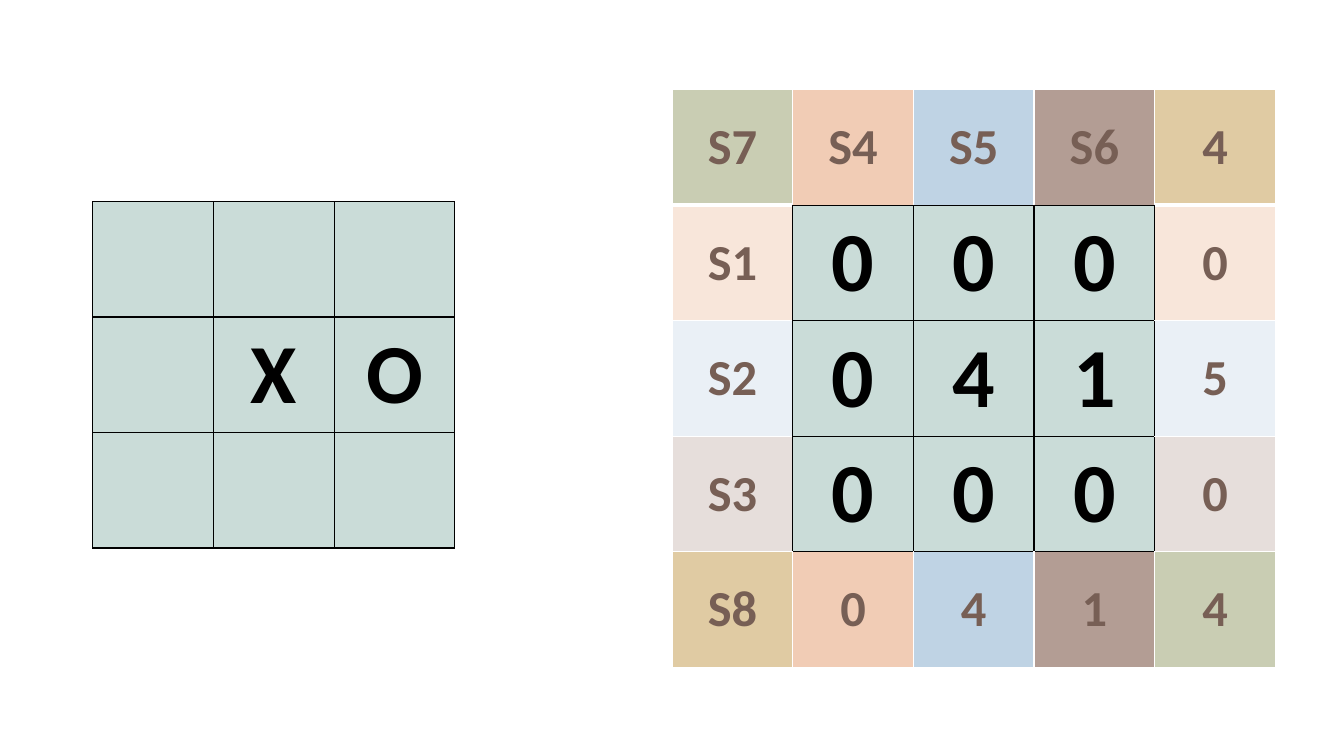
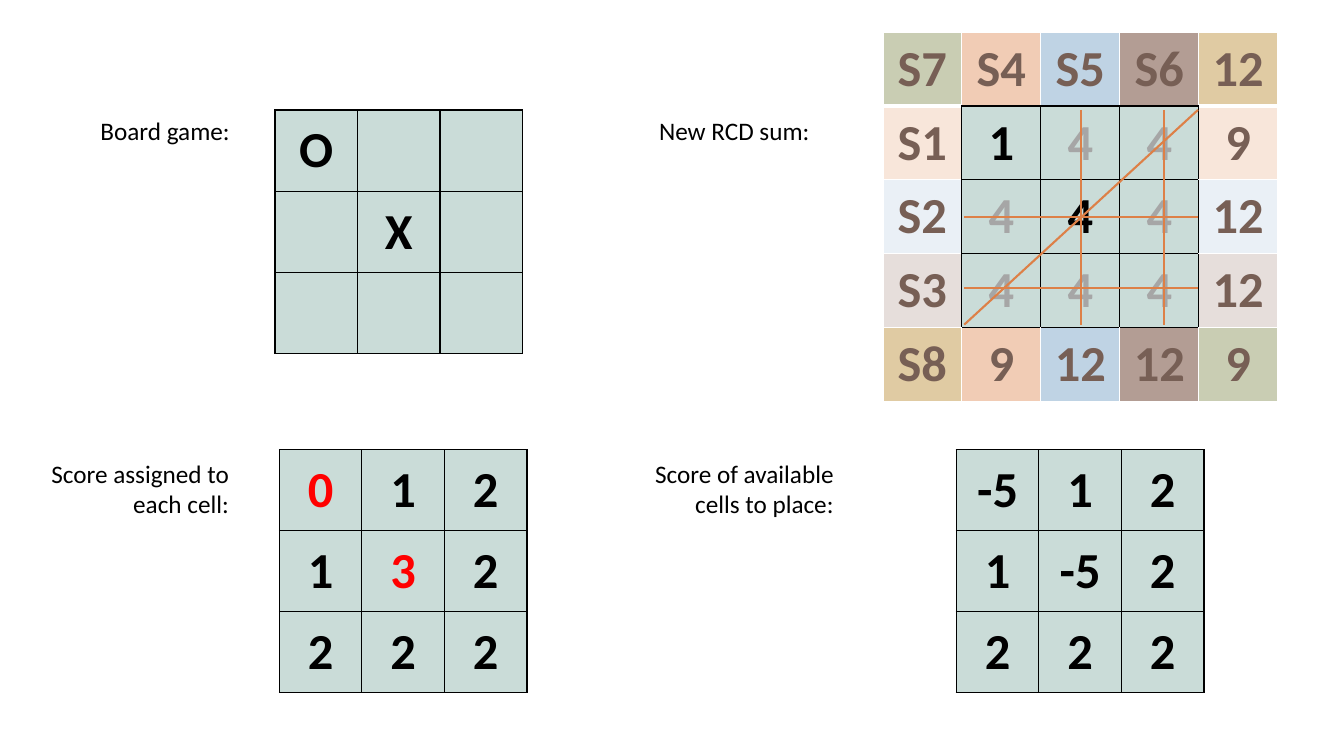
from dataclasses import dataclass
from typing import Optional

from lxml import etree
from pptx import Presentation
from pptx.dml.color import RGBColor
from pptx.enum import shapes, text
from pptx.oxml import ns
from pptx.slide import Slide
from pptx.util import Cm, Pt


# Theme: colours, type sizes and line widths
@dataclass(frozen=True)
class Theme:
    font: str = "Calibri"
    big: int = 60
    mid: int = 36
    small: int = 18
    black: str = "000000"
    white: str = "FFFFFF"
    red: str = "FF0000"
    grey: str = "A6A6A6"
    brown: str = "775F55"
    strike: str = "DD8047"
    mint: str = "CADCD8"
    top: tuple[str, ...] = ("C9CDB3", "F1CCB5", "BFD3E4", "B39D94", "E0CBA3")
    side: tuple[str, ...] = ("F8E6DA", "EAF0F6", "E6DEDB")
    thin: float = 1
    thick: float = 3
    stroke: float = 1.5


THEME = Theme()


# Descriptions of repeated elements, lengths in centimetres
@dataclass(frozen=True)
class Grid:
    left: float
    top: float
    wide: float
    high: float
    rows: tuple[str, ...]
    size: int = THEME.mid
    ring: bool = False
    tint: str = THEME.black
    spots: tuple[tuple[int, int], ...] = ()


@dataclass(frozen=True)
class Label:
    left: float
    top: float
    wide: float
    high: float
    words: str


@dataclass(frozen=True)
class Strike:
    x1: float
    y1: float
    x2: float
    y2: float


SIDES = {"L": (0, -1), "R": (0, 1), "T": (-1, 0), "B": (1, 0)}


def in_core(row: int, col: int) -> bool:
    return 1 <= row <= 3 and 1 <= col <= 3


def get_fill(row: int, col: int) -> str:
    """The last row mirrors the corner colours of the first."""
    if row == 0:
        return THEME.top[col]
    if row == 4:
        return THEME.top[4 - col if col in (0, 4) else col]
    return THEME.side[row - 1]


def get_edge(row: int, col: int, side: str) -> tuple[str, float]:
    """Ring cells have white edges, but black ones against the core."""
    down, over = SIDES[side]
    if in_core(row + down, col + over):
        return THEME.black, THEME.thin
    heavy = row == 0 and side == "B"
    return THEME.white, THEME.thick if heavy else THEME.thin


def add_edge(cell, side: str, color: str, width: float) -> None:
    line = etree.SubElement(cell._tc.get_or_add_tcPr(), ns.qn(f"a:ln{side}"))
    line.set("w", str(Pt(width)))
    fill = etree.SubElement(line, ns.qn("a:solidFill"))
    etree.SubElement(fill, ns.qn("a:srgbClr")).set("val", color)


def style(part, size: int, color: str, bold: bool, align) -> None:
    for para in part.text_frame.paragraphs:
        para.alignment = align
        for run in para.runs:
            run.font.name = THEME.font
            run.font.size = Pt(size)
            run.font.bold = bold
            run.font.color.rgb = RGBColor.from_string(color)


def add_grid(slide: Slide, grid: Grid) -> None:
    rows = [[word.strip() for word in row.split("|")] for row in grid.rows]
    count = len(rows)
    table = slide.shapes.add_table(
        count, count, Cm(grid.left), Cm(grid.top),
        Cm(grid.wide * count), Cm(grid.high * count)).table
    table.first_row = table.horz_banding = False
    for row, words in enumerate(rows):
        table.rows[row].height = Cm(grid.high)
        table.columns[row].width = Cm(grid.wide)
        for col, word in enumerate(words):
            cell = table.cell(row, col)
            outer = grid.ring and not in_core(row, col)
            for side in SIDES:
                edge = (get_edge(row, col, side) if outer
                        else (THEME.black, THEME.thin))
                add_edge(cell, side, *edge)
            cell.fill.solid()
            cell.fill.fore_color.rgb = RGBColor.from_string(
                get_fill(row, col) if outer else THEME.mint)
            cell.vertical_anchor = text.MSO_ANCHOR.MIDDLE
            cell.text_frame.text = word
            ink = grid.tint if (row, col) in grid.spots else THEME.black
            style(cell, THEME.mid if outer else grid.size,
                  THEME.brown if outer else ink, True, text.PP_ALIGN.CENTER)


def add_label(slide: Slide, label: Label) -> None:
    box = slide.shapes.add_textbox(
        Cm(label.left), Cm(label.top), Cm(label.wide), Cm(label.high))
    box.text_frame.word_wrap = True
    box.text_frame.auto_size = text.MSO_AUTO_SIZE.SHAPE_TO_FIT_TEXT
    box.text_frame.text = label.words
    style(box, THEME.small, THEME.black, False, text.PP_ALIGN.RIGHT)


def add_strike(slide: Slide, strike: Strike) -> None:
    line = slide.shapes.add_connector(
        shapes.MSO_CONNECTOR.STRAIGHT, Cm(strike.x1), Cm(strike.y1),
        Cm(strike.x2), Cm(strike.y2))
    line.line.color.rgb = RGBColor.from_string(THEME.strike)
    line.line.width = Pt(THEME.stroke)
    etree.SubElement(line._element.spPr, ns.qn("a:effectLst"))


def add_page(deck, grids: tuple[Grid, ...],
             strikes: tuple[Strike, ...] = (),
             labels: tuple[Label, ...] = (),
             blank: Optional[int] = 6) -> None:
    slide = deck.slides.add_slide(deck.slide_layouts[blank])
    for grid in grids:
        add_grid(slide, grid)
    for strike in strikes:
        add_strike(slide, strike)
    for label in labels:
        add_label(slide, label)


deck = Presentation()
deck.slide_width, deck.slide_height = Cm(33.87), Cm(19.05)

# Slide 1: a board and its sums
add_page(deck, (
    Grid(16.94, 2.26, 3.04, 2.91,
         ("S7|S4|S5|S6|4", "S1|0|0|0|0", "S2|0|4|1|5",
          "S3|0|0|0|0", "S8|0|4|1|4"), THEME.big, ring=True),
    Grid(2.34, 5.08, 3.04, 2.91, ("||", "|X|O", "||"), THEME.big),
))

# Slide 2: the board, new sums and scores
LEFT, RIGHT, TOP, BASE = 24.3, 30.19, 2.77, 8.18
add_page(deck, (
    Grid(22.25, 0.81, 1.99, 1.86,
         ("S7|S4|S5|S6|12", "S1|1|4|4|9", "S2|4|4|4|12",
          "S3|4|4|4|12", "S8|9|12|12|9"), ring=True, tint=THEME.grey,
         spots=((1, 2), (1, 3), (2, 1), (2, 3), (3, 1), (3, 2), (3, 3))),
    Grid(6.93, 2.77, 2.08, 2.05, ("O||", "|X|", "||")),
    Grid(7.04, 11.33, 2.08, 2.04, ("0|1|2", "1|3|2", "2|2|2"),
         tint=THEME.red, spots=((0, 0), (1, 1))),
    Grid(24.1, 11.33, 2.08, 2.04, ("-5|1|2", "1|-5|2", "2|2|2")),
), (
    *(Strike(LEFT, y, RIGHT, y) for y in (5.46, 7.26)),
    *(Strike(x, TOP, x, BASE) for x in (27.25, 29.34)),
    Strike(RIGHT, TOP, LEFT, BASE),
), (
    Label(1.8, 2.77, 4.24, 1.02, "Board game:"),
    Label(15.54, 2.77, 5.11, 1.02, "New RCD sum:"),
    Label(0.91, 11.43, 5.11, 1.8, "Score assigned to each cell:"),
    Label(16.15, 11.43, 5.11, 1.8, "Score of available cells to place:"),
))

deck.save("out.pptx")
